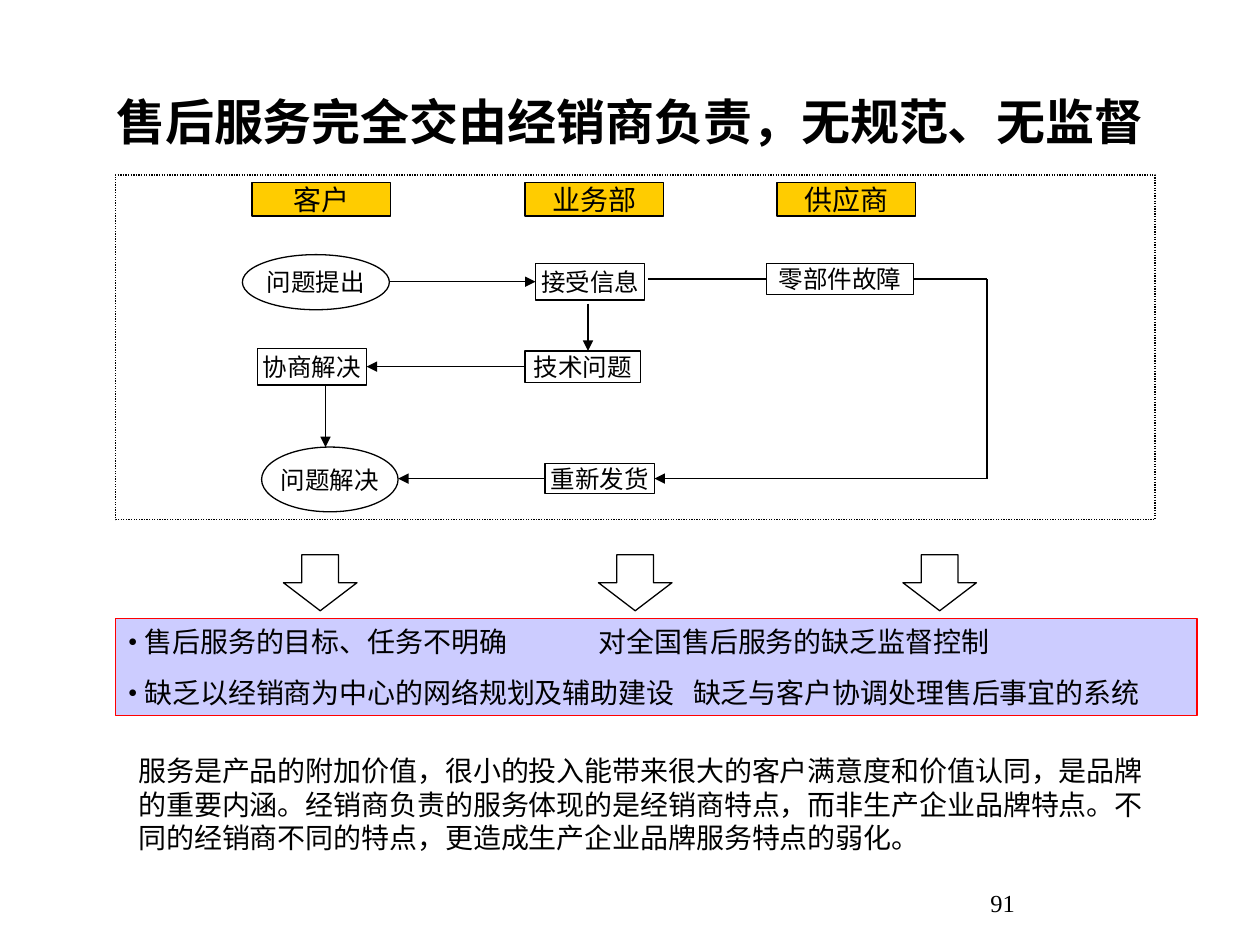
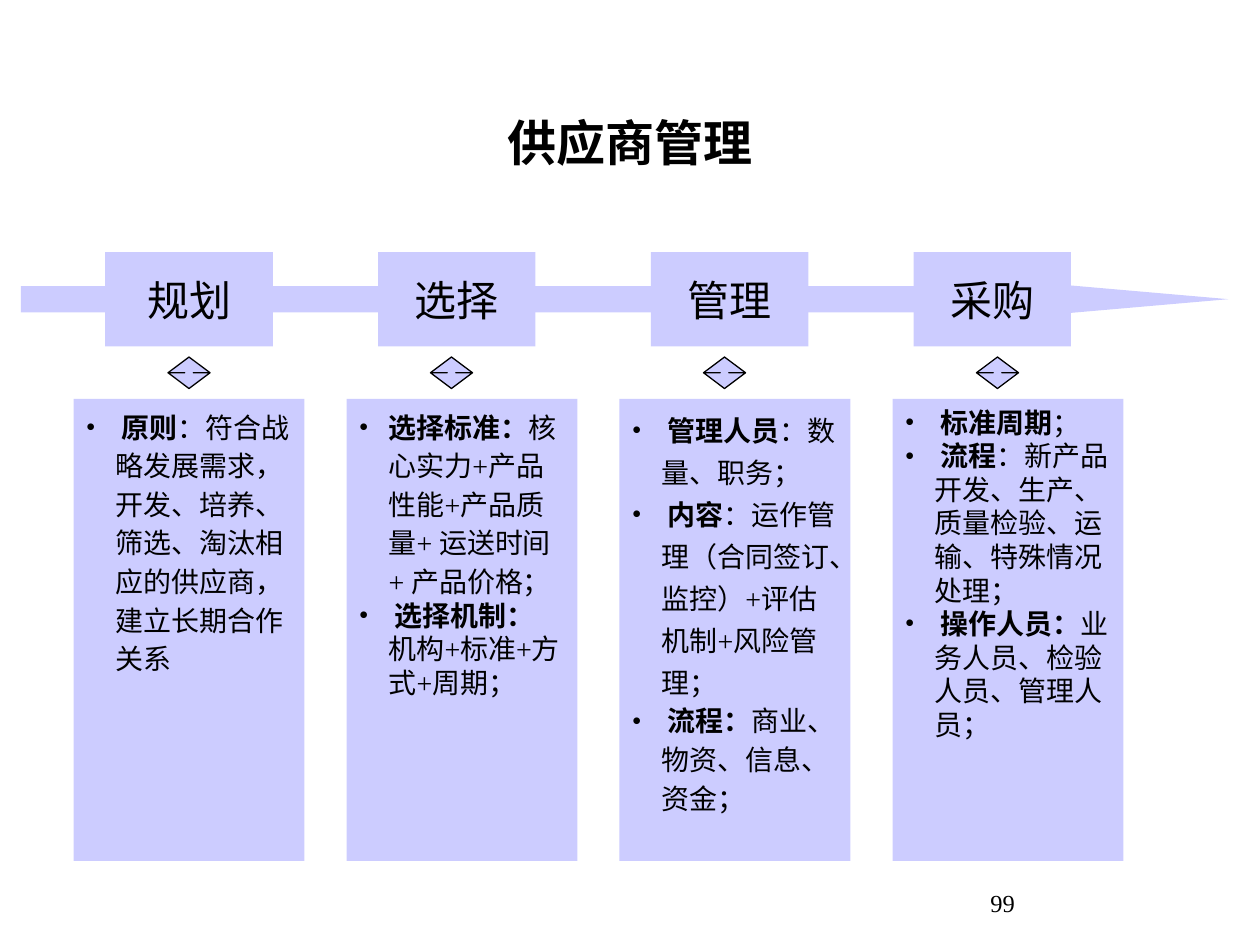
from dataclasses import dataclass

from lxml.etree import SubElement
from pptx import Presentation
from pptx.dml.color import RGBColor
from pptx.enum.dml import MSO_LINE
from pptx.enum.shapes import MSO_CONNECTOR, MSO_SHAPE
from pptx.enum.text import MSO_ANCHOR, PP_ALIGN
from pptx.oxml.ns import qn
from pptx.util import Pt


@dataclass(frozen=True)
class Theme:
    """Colours, fonts and type sizes shared by the slides."""
    ink: RGBColor = RGBColor(0x00, 0x00, 0x00)
    lavender: RGBColor = RGBColor(0xCC, 0xCC, 0xFF)
    amber: RGBColor = RGBColor(0xFF, 0xCC, 0x00)
    red: RGBColor = RGBColor(0xFF, 0x00, 0x00)
    latin: str = "Times New Roman"
    chinese: str = "Noto Sans CJK SC"
    title: float = 28
    stage: float = 24
    body: float = 16
    node: float = 14
    stroke: float = 0.75


THEME = Theme()
TOP, LEFT, BOTTOM, RIGHT = range(4)

STAGES = [
    ("规划", 18, 96, 54, [
        (1.15, [(" 原则", True), ("：符合战略发展需求，开发、培养、筛选、淘汰相应的供应商，建立长期合作关系", False)]),
    ]),
    ("选择", 18, 90, 48, [
        (1.15, [("选择标准：", True), ("核心实力+产品性能+产品质量+ 运送时间+ 产品价格；", False)]),
        (1, [(" 选择机制：", True), ("\v", False), ("机构+标准+方式+周期；", False)]),
    ]),
    ("管理", 18, 90, 48, [
        (1.25, [(" ", False), ("管理人员", True), ("：数量、职务；", False)]),
        (1.25, [(" ", False), ("内容", True), ("：运作管理（合同签订、监控）+评估机制+风险管理；", False)]),
        (1.15, [(" 流程：", True), ("商业、物资、信息、资金；", False)]),
    ]),
    ("采购", 12, 90, 48, [
        (1, [(" ", False), ("标准周期", True), ("；", False)]),
        (1, [(" ", False), ("流程", True), ("：新产品开发、生产、质量检验、运输、特殊情况处理；", False)]),
        (1, [(" ", False), ("操作人员：", True), ("业务人员、检验人员、管理人员；", False)]),
    ]),
]


def set_list_format(paragraph, hang, tab):
    """Give a paragraph a hanging bullet and, if asked, a tab stop."""
    props = paragraph._p.get_or_add_pPr()
    props.set("marL", str(Pt(hang)))
    props.set("indent", str(-Pt(hang)))
    colour = SubElement(props, qn("a:buClr"))
    SubElement(colour, qn("a:srgbClr"), val=str(THEME.ink))
    SubElement(props, qn("a:buFont"), typeface=THEME.latin)
    SubElement(props, qn("a:buChar"), char="•")
    if tab:
        stops = SubElement(props, qn("a:tabLst"))
        SubElement(stops, qn("a:tab"), pos=str(Pt(tab)), algn="l")


def write(shape, content, *, size=THEME.body, bold=False, align=PP_ALIGN.LEFT,
          anchor=MSO_ANCHOR.TOP, wrap=True, font=THEME.latin, spacing=None,
          before=None, hang=None, tab=None):
    """Append one formatted paragraph, given as text or (text, bold) runs."""
    frame = shape.text_frame
    frame.word_wrap = wrap
    frame.vertical_anchor = anchor
    paragraph = frame.paragraphs[0]
    if paragraph.runs:
        paragraph = frame.add_paragraph()
        if before:
            paragraph.space_before = Pt(before)
    paragraph.alignment = align
    if spacing:
        paragraph.line_spacing = spacing
    if hang:
        set_list_format(paragraph, hang, tab)
    for text, strong in [(content, bold)] if isinstance(content, str) else content:
        if text == "\v":
            paragraph.add_line_break()
            continue
        run = paragraph.add_run()
        run.text = text
        run.font.size = Pt(size)
        run.font.bold = strong
        run.font.color.rgb = THEME.ink
        run.font.name = font
        SubElement(run._r.get_or_add_rPr(), qn("a:ea"), typeface=THEME.chinese)


def text_area(slide, box):
    """Add an empty text box."""
    return slide.shapes.add_textbox(*map(Pt, box))


def draw(slide, kind, box, fill=None, stroke=None):
    """Add a flat preset shape with optional fill and outline."""
    shape = slide.shapes.add_shape(kind, *map(Pt, box))
    shape.shadow.inherit = False
    if fill is None:
        shape.fill.background()
    else:
        shape.fill.solid()
        shape.fill.fore_color.rgb = fill
    if stroke is None:
        shape.line.fill.background()
    else:
        shape.line.color.rgb = stroke
        shape.line.width = Pt(THEME.stroke)
    return shape


def label(slide, kind, box, text, size, fill=None, stroke=None, wrap=False):
    """Add a shape with a centred caption."""
    shape = draw(slide, kind, box, fill, stroke)
    write(shape, text, size=size, align=PP_ALIGN.CENTER,
          anchor=MSO_ANCHOR.MIDDLE, wrap=wrap)
    return shape


def link(slide, start, end, start_joint=None, end_joint=None, arrow=True):
    """Draw a straight line, joined to (shape, side) where one is given."""
    line = slide.shapes.add_connector(MSO_CONNECTOR.STRAIGHT, *map(Pt, (*start, *end)))
    if start_joint:
        line.begin_connect(*start_joint)
    if end_joint:
        line.end_connect(*end_joint)
    line.line.color.rgb = THEME.ink
    line.line.width = Pt(THEME.stroke)
    if arrow:
        SubElement(line.line._get_or_add_ln(), qn("a:tailEnd"), type="triangle")
    SubElement(line._element.spPr, qn("a:effectLst"))


def new_slide(deck, title, title_box, number):
    """Add a blank slide with the shared title and page number."""
    slide = deck.slides.add_slide(deck.slide_layouts[6])
    write(text_area(slide, title_box), title, size=THEME.title, bold=True,
          align=PP_ALIGN.CENTER, anchor=MSO_ANCHOR.MIDDLE)
    write(text_area(slide, (462, 504, 222, 18)), number, size=THEME.node,
          align=PP_ALIGN.CENTER)
    return slide


def service_flow(slide, box):
    """Draw the after-sales flow inside its dotted frame."""
    x, y = box[:2]
    frame = draw(slide, MSO_SHAPE.RECTANGLE, box, stroke=THEME.ink)
    frame.line.dash_style = MSO_LINE.ROUND_DOT

    def at(dx, dy):
        return x + dx, y + dy

    def node(text, dx, dy, width, height, kind=MSO_SHAPE.RECTANGLE):
        return label(slide, kind, (*at(dx, dy), width, height), text,
                     THEME.node, stroke=THEME.ink)

    for party, dx in (("客户", 78), ("业务部", 234), ("供应商", 378)):
        label(slide, MSO_SHAPE.RECTANGLE, (*at(dx, 4.5), 79, 19), party,
              THEME.body, THEME.amber, THEME.ink)

    node("问题提出", 72.5, 45.5, 84, 31.5, MSO_SHAPE.OVAL)
    node("问题解决", 83.5, 155.5, 78, 37, MSO_SHAPE.OVAL)
    received = node("接受信息", 240, 50.5, 62.5, 21)
    faulty_part = node("零部件故障", 372, 50.5, 84, 18)
    technical = node("技术问题", 234, 100.5, 66, 18)
    negotiated = node("协商解决", 81, 99, 62.5, 21)
    reshipped = node("重新发货", 245.5, 165, 62.5, 17)

    link(slide, at(156.5, 61), at(240, 61), end_joint=(received, LEFT))
    link(slide, at(304.5, 59.5), at(372, 59.5), end_joint=(faulty_part, LEFT), arrow=False)
    link(slide, at(456, 59.5), at(498, 59.5), start_joint=(faulty_part, RIGHT), arrow=False)
    link(slide, at(498, 59.5), at(498, 174), arrow=False)
    link(slide, at(498, 173.5), at(308, 173.5), end_joint=(reshipped, RIGHT))
    link(slide, at(245.5, 173.5), at(161.5, 173.5), start_joint=(reshipped, LEFT))
    link(slide, at(270, 73.5), at(270, 100.5))
    link(slide, at(234, 109.5), at(143.5, 109.5), (technical, LEFT), (negotiated, RIGHT))
    link(slide, at(120, 120), at(120, 155.5))


def service_findings(slide, box):
    """Draw the arrows and the findings band below the flow."""
    x, y, width, height = box
    for dx in (96, 276, 450):
        draw(slide, MSO_SHAPE.DOWN_ARROW, (x + dx, y, 42, 32), stroke=THEME.ink)
    band = draw(slide, MSO_SHAPE.RECTANGLE, (x, y + 36.5, width, height - 36.5),
                THEME.lavender, THEME.red)
    findings = [
        ("售后服务的目标、任务不明确\t对全国售后服务的缺乏监督控制", 269),
        ("缺乏以经销商为中心的网络规划及辅助建设\t缺乏与客户协调处理售后事宜的系统", 323),
    ]
    for text, tab in findings:
        write(band, text, font=THEME.chinese, before=10, hang=9.5, tab=tab)


def service_slide(deck):
    """Build the after-sales service slide."""
    slide = new_slide(deck, "售后服务完全交由经销商负责，无规范、无监督",
                      (54, 24, 612, 90), "91")
    service_flow(slide, (66, 100, 594, 197))
    service_findings(slide, (66, 317, 618, 92))
    write(text_area(slide, (72, 427, 600, 65)),
          "服务是产品的附加价值，很小的投入能带来很大的客户满意度和价值认同，是品牌的重要内涵。"
          "经销商负责的服务体现的是经销商特点，而非生产企业品牌特点。"
          "不同的经销商不同的特点，更造成生产企业品牌服务特点的弱化。")


def stage_column(slide, box, stage):
    """Draw one stage heading, its double arrow and its details."""
    x, y, width, height = box
    name, heading_dx, heading_width, arrow_dx, details = stage
    label(slide, MSO_SHAPE.RECTANGLE, (x + heading_dx, y, heading_width, 54),
          name, THEME.stage, THEME.lavender, wrap=True)
    arrow = draw(slide, MSO_SHAPE.UP_DOWN_ARROW, (x + arrow_dx, y + 60, 24, 18),
                 THEME.lavender, THEME.ink)
    arrow.adjustments[1] = 0.2
    panel = draw(slide, MSO_SHAPE.RECTANGLE, (x, y + 84, width, height - 84),
                 THEME.lavender)
    for spacing, runs in details:
        write(panel, runs, spacing=spacing, hang=17)


def supplier_slide(deck):
    """Build the supplier management slide."""
    slide = new_slide(deck, "供应商管理", (54, 48, 612, 66), "99")
    timeline = draw(slide, MSO_SHAPE.RIGHT_ARROW, (12, 156, 690, 30), THEME.lavender)
    timeline.adjustments[1] = 5.75
    for index, stage in enumerate(STAGES):
        stage_column(slide, (42 + 156 * index, 144, 132, 348), stage)


def main():
    """Build both slides and save the deck."""
    deck = Presentation()
    deck.slide_width, deck.slide_height = Pt(720), Pt(540)
    service_slide(deck)
    supplier_slide(deck)
    deck.save("out.pptx")


if __name__ == "__main__":
    main()
